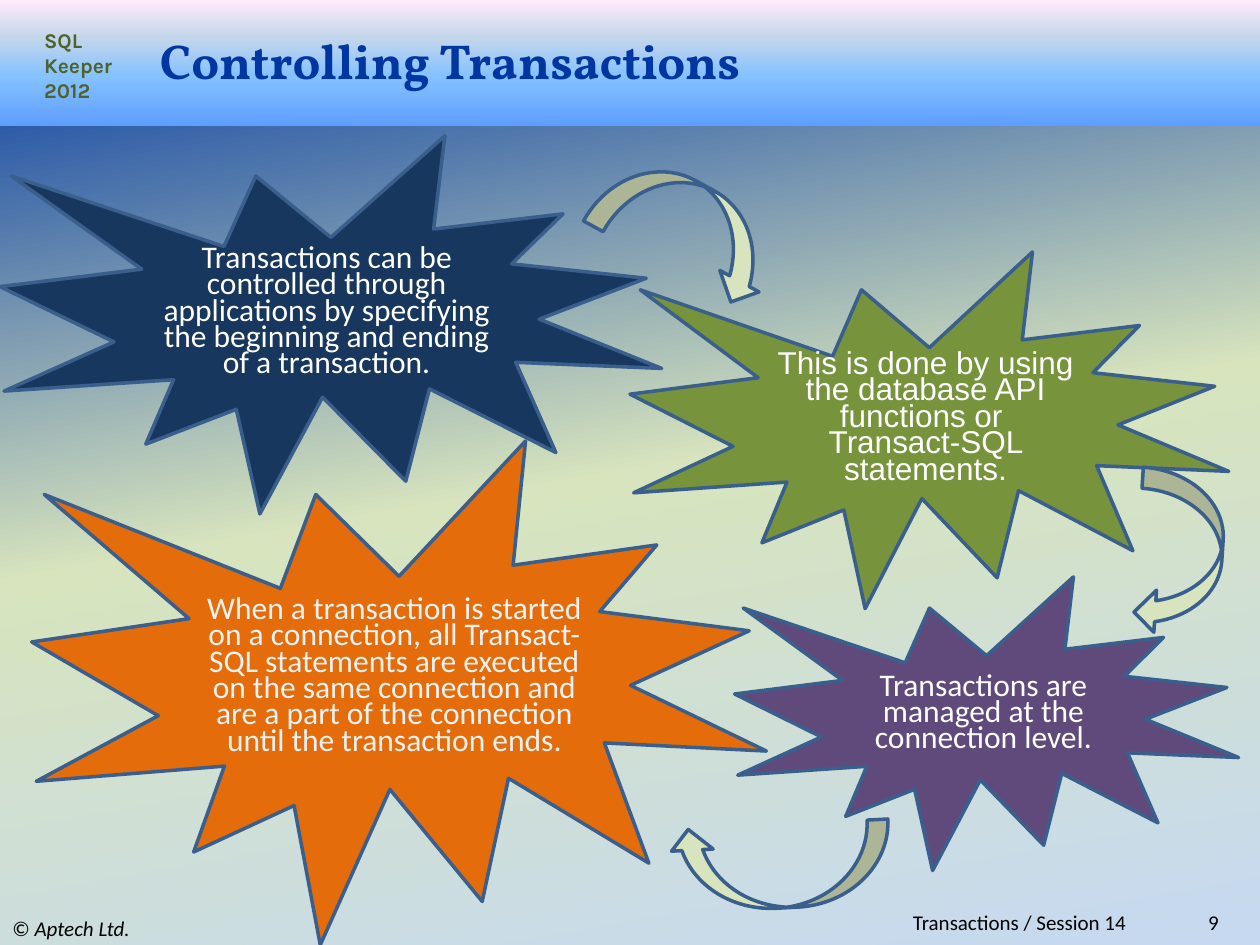
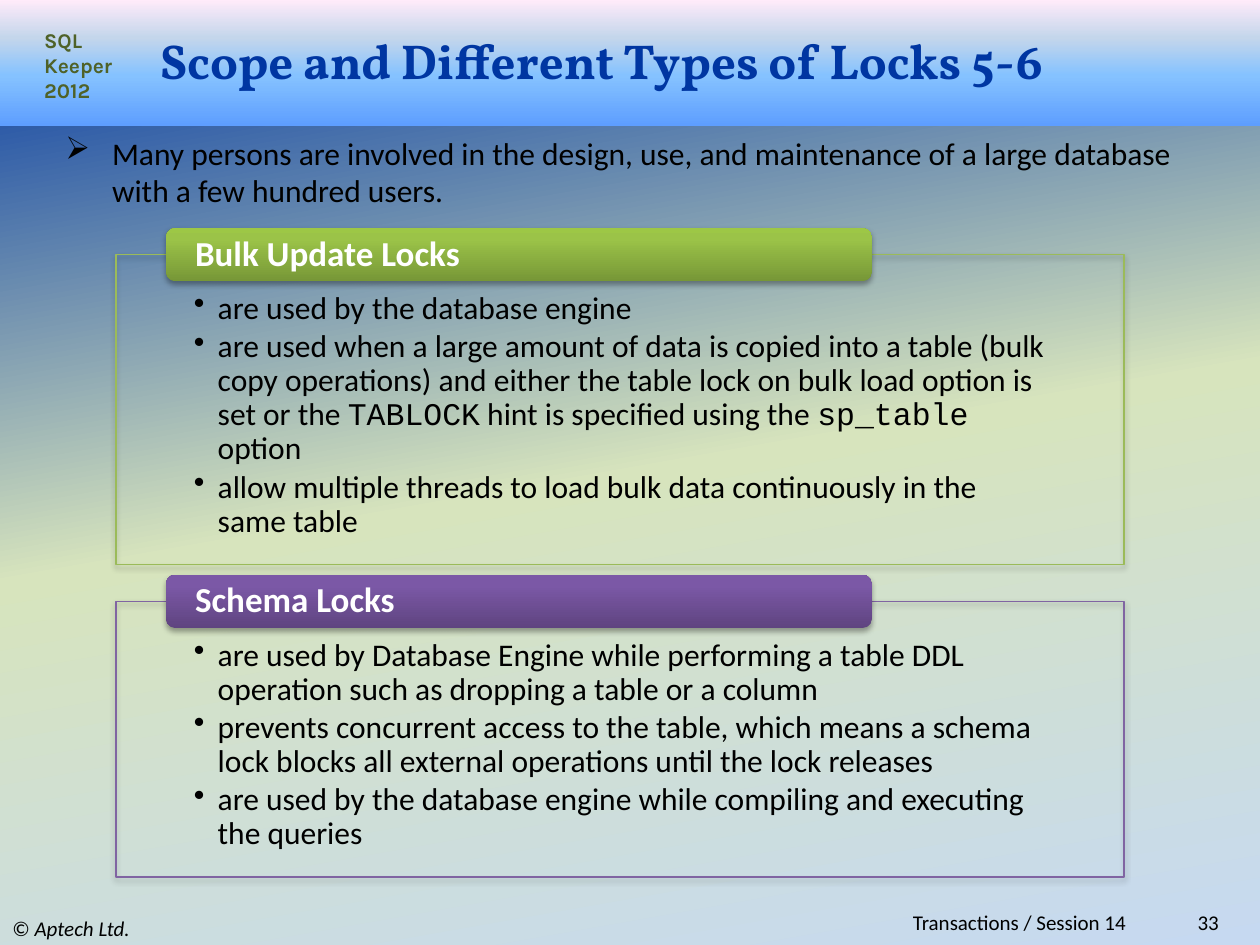
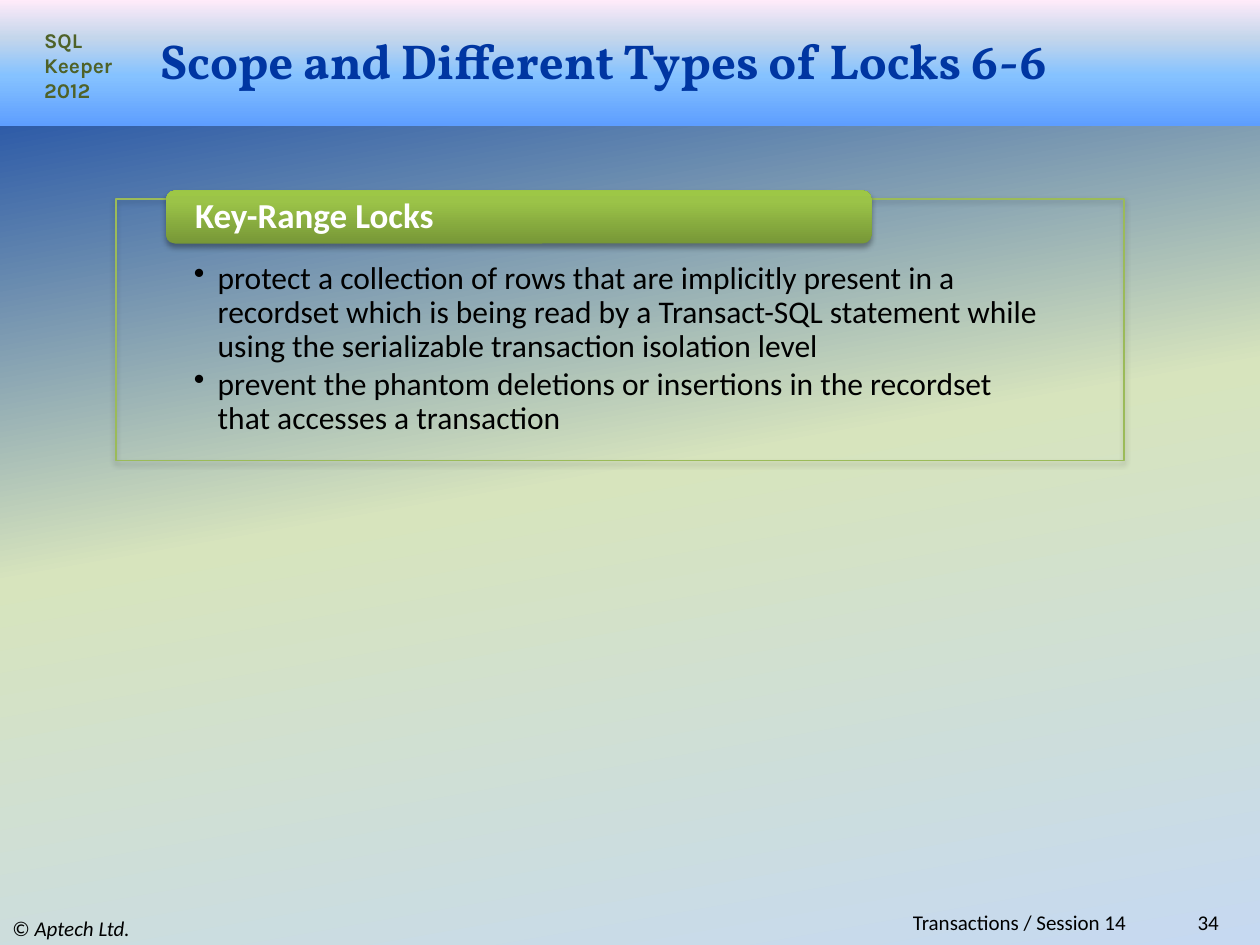
from lxml.etree import SubElement
from pptx import Presentation
from pptx.dml.color import RGBColor
from pptx.enum.shapes import MSO_SHAPE
from pptx.enum.text import MSO_ANCHOR, PP_ALIGN
from pptx.oxml.ns import qn
from pptx.util import Cm, Pt

COLOURS = {
    "title": "0036A2", "title_edge": "C00000", "brand": "4F6228",
    "text": "000000", "light": "FFFFFF", "pale": "F2F2F2",
    "outline": "3A5F8C", "arrow": "D7E4BD",
    "navy": "17375E", "olive": "77933C", "plum": "604A7B", "orange": "E46C0A",
    "green": "9BBB59", "purple": "8064A2",
}
# Gradients: (position in percent, colour) stops and the clockwise angle
GRADIENTS = {
    "page": ([(0, "0036A2"), (50, "D7E4BD"), (100, "C6D9F1")], 80),
    "band": ([(0, "5E9EFF"), (40, "85C2FF"), (70, "C4D6EB"), (100, "FFEBFA")], 270),
    "green": ([(0, "779737"), (80, "9BC348"), (100, "9DC746")], 270),
    "purple": ([(0, "5F4480"), (80, "7B58A6"), (100, "7C57A8")], 270),
}
BODY_FONT, TITLE_FONT, BRAND_FONT, CODE_FONT = "Calibri", "Vollkorn", "Karla", "Courier New"


def colour(name):
    return RGBColor.from_string(COLOURS[name])


def add_colour(parent, value, alpha=None):
    node = SubElement(parent, qn("a:srgbClr"), val=value)
    if alpha is not None:
        SubElement(node, qn("a:alpha"), val=str(alpha * 1000))


def paint_gradient(fill, element, name):
    stops, angle = GRADIENTS[name]
    fill.gradient()
    fill.gradient_angle = 360 - angle
    stop_list = next(element.iter(qn("a:gsLst")))
    for stop in list(stop_list):
        stop_list.remove(stop)
    for position, value in stops:
        add_colour(SubElement(stop_list, qn("a:gs"), pos=str(position * 1000)), value)


def add_shadow(shape):
    effects = SubElement(shape._element.spPr, qn("a:effectLst"))
    shadow = SubElement(effects, qn("a:outerShdw"), blurRad=str(Pt(3.1)), dist=str(Pt(1.8)),
                        dir="5400000", rotWithShape="0")
    add_colour(shadow, COLOURS["text"], 35)


def set_bullet(para, symbol, indent):
    properties = para._p.get_or_add_pPr()
    properties.set("marL", str(Cm(indent)))
    properties.set("indent", str(-Cm(indent)))
    SubElement(properties, qn("a:buChar"), char=symbol)


class Slides:
    def __init__(self):
        self.deck = Presentation()
        self.deck.slide_width, self.deck.slide_height = Cm(25.4), Cm(19.05)
        self.page = None

    def fill_frame(self, frame, texts, size=18, font=BODY_FONT, shade="text", bold=False,
                   align=PP_ALIGN.LEFT, anchor=MSO_ANCHOR.TOP, spacing=None):
        """Fill a frame; a text is one string or a tuple of spans."""
        frame.word_wrap = True
        frame.vertical_anchor = anchor
        for index, text in enumerate(texts):
            para = frame.add_paragraph() if index else frame.paragraphs[0]
            if isinstance(text, str):
                para.text = text
            else:
                for part in text:
                    para.add_run().text = part
            para.alignment = align
            para.line_spacing = spacing
            for span in para.runs:
                span.font.name, span.font.size, span.font.bold = font, Pt(size), bold
                span.font.color.rgb = colour(shade)
        return frame.paragraphs

    def text(self, place, texts, insets=None, **style):
        box = self.page.shapes.add_textbox(*map(Cm, place))
        self.inset(box.text_frame, insets)
        return self.fill_frame(box.text_frame, texts, **style)

    def inset(self, frame, insets):
        if insets:
            (frame.margin_left, frame.margin_top,
             frame.margin_right, frame.margin_bottom) = map(Cm, insets)

    def shape(self, kind, place, fill=None, line=None, width=2):
        shape = self.page.shapes.add_shape(kind, *map(Cm, place))
        if fill in GRADIENTS:
            paint_gradient(shape.fill, shape._element, fill)
        elif fill:
            shape.fill.solid()
            shape.fill.fore_color.rgb = colour(fill)
        else:
            shape.fill.background()
        if line:
            shape.line.color.rgb = colour(line)
            shape.line.width = Pt(width)
        else:
            shape.line.fill.background()
        return shape

    def start(self, title, number):
        self.page = self.deck.slides.add_slide(self.deck.slide_layouts[5])
        paint_gradient(self.page.background.fill, self.page._element, "page")

        # Header band, behind the title
        band = self.shape(MSO_SHAPE.RECTANGLE, (0, 0, 25.4, 2.54), "band")
        band.shadow.inherit = False
        self.page.shapes._spTree.insert(2, band._element)
        self.text((0.64, 0.43, 1.9, 1.8), ["SQL Keeper 2012"], size=12,
                  font=BRAND_FONT, shade="brand", bold=True)

        # Title with a fine edge round its letters
        holder = self.page.shapes.title
        holder.left, holder.top, holder.width, holder.height = map(Cm, (2.97, 0.64, 21.16, 1.14))
        paras = self.fill_frame(holder.text_frame, [title], size=28, font=TITLE_FONT,
                                shade="title", bold=True, anchor=MSO_ANCHOR.MIDDLE)
        properties = paras[0].runs[0].font._element
        edge = SubElement(properties, qn("a:ln"), w=str(Pt(0.07)))
        add_colour(SubElement(edge, qn("a:solidFill")), COLOURS["title_edge"], 55)
        properties.insert(0, edge)

        # Footer
        small = {"size": 12, "anchor": MSO_ANCHOR.MIDDLE}
        credit = self.text((0, 18.36, 8.47, 0.69), [("© ", "Aptech Ltd.")], **small)
        credit[0].runs[1].font.italic = True
        self.text((6.35, 18.36, 16.6, 0.46), ["Transactions / Session 14"],
                  align=PP_ALIGN.RIGHT, **small)
        self.text((22.66, 18.36, 2.16, 0.46), [str(number)], align=PP_ALIGN.RIGHT, **small)

    def star(self, place, fill, text, **style):
        star = self.shape(MSO_SHAPE.EXPLOSION1, place, fill, "outline")
        star.shadow.inherit = False
        self.fill_frame(star.text_frame, [text], align=PP_ALIGN.CENTER,
                        anchor=MSO_ANCHOR.MIDDLE, spacing=0.7, **style)

    def arrow(self, place, rotation):
        arrow = self.shape(MSO_SHAPE.CURVED_LEFT_ARROW, place, "arrow", "outline")
        arrow.shadow.inherit = False
        arrow.rotation = rotation

    def intro(self, text):
        paras = self.text((1.07, 2.57, 23.7, 1.8), [text])
        set_bullet(paras[0], "➢", 0.94)

    def panel(self, heading, points, top, height, tint, tag_rise=0.53, text_top=0.76):
        """Outlined box of bullets with a heading tag across its top edge."""
        place = (2.34, top, 20.32, height)
        add_shadow(self.shape(MSO_SHAPE.RECTANGLE, place, line=tint, width=0.75))
        for para in self.text(place, points, insets=(1.57, text_top, 1.57, 0.36), spacing=0.9):
            set_bullet(para, "•", 0.48)
            para.space_after = Pt(2.5)
            for span in para.runs[1::2]:
                span.font.name = CODE_FONT
        tag = self.shape(MSO_SHAPE.ROUNDED_RECTANGLE, (3.35, top - tag_rise, 14.22, 1.07), tint)
        add_shadow(tag)
        self.inset(tag.text_frame, (0.53, 0, 0.53, 0))
        self.fill_frame(tag.text_frame, [heading], size=20, shade="light", bold=True,
                        anchor=MSO_ANCHOR.MIDDLE, spacing=0.9)


def main():
    slides = Slides()

    # Controlling transactions
    slides.start("Controlling Transactions", 9)
    slides.star((0, 2.74, 13.34, 7.62), "navy",
                "Transactions can be controlled through applications by specifying "
                "the beginning and ending of a transaction.", shade="light")
    slides.star((12.7, 5.08, 12.07, 7.19), "olive",
                "This is done by using the database API functions or \n"
                "Transact-SQL statements.", shade="light", font="Arial")
    slides.star((14.81, 11.63, 10.16, 5.92), "plum",
                "Transactions are managed at the connection level.", shade="light")
    slides.star((0.64, 8.89, 14.81, 10.16), "orange",
                "When a transaction is started on a connection, all Transact-SQL "
                "statements are executed on the same connection and are a part of "
                "the connection until the transaction ends.", shade="pale")
    slides.arrow((12.98, 2.67, 1.8, 3.84), 298.8)
    slides.arrow((22.94, 9.47, 1.7, 3.35), 3.7)
    slides.arrow((14.88, 15.24, 1.68, 4.45), 87)

    # Bulk update and schema locks
    slides.start("Scope and Different Types of Locks 5-6", 33)
    slides.intro("Many persons are involved in the design, use, and maintenance of "
                 "a large database with a few hundred users.")
    slides.panel("Bulk Update Locks", [
        "are used by the database engine",
        ("are used when a large amount of data is copied into a table (bulk copy "
         "operations) and either the table lock on bulk load option is set or the ",
         "TABLOCK", " hint is specified using the ", "sp_table", " option"),
        "allow multiple threads to load bulk data continuously in the same table",
    ], 5.13, 6.25, "green")
    slides.panel("Schema Locks", [
        "are used by Database Engine while performing a table DDL operation such as "
        "dropping a table or a column",
        "prevents concurrent access to the table, which means a schema lock blocks "
        "all external operations until the lock releases",
        "are used by the database engine while compiling and executing the queries",
    ], 12.12, 5.56, "purple")

    # Key-range locks
    slides.start("Scope and Different Types of Locks 6-6", 34)
    slides.panel("Key-Range Locks", [
        "protect a collection of rows that are implicitly present in a recordset which "
        "is being read by a Transact-SQL statement while using the serializable "
        "transaction isolation level",
        "prevent the phantom deletions or insertions in the recordset that accesses "
        "a transaction",
    ], 4.01, 5.28, "green", tag_rise=0.17, text_top=1.27)

    slides.deck.save("out.pptx")


if __name__ == "__main__":
    main()
